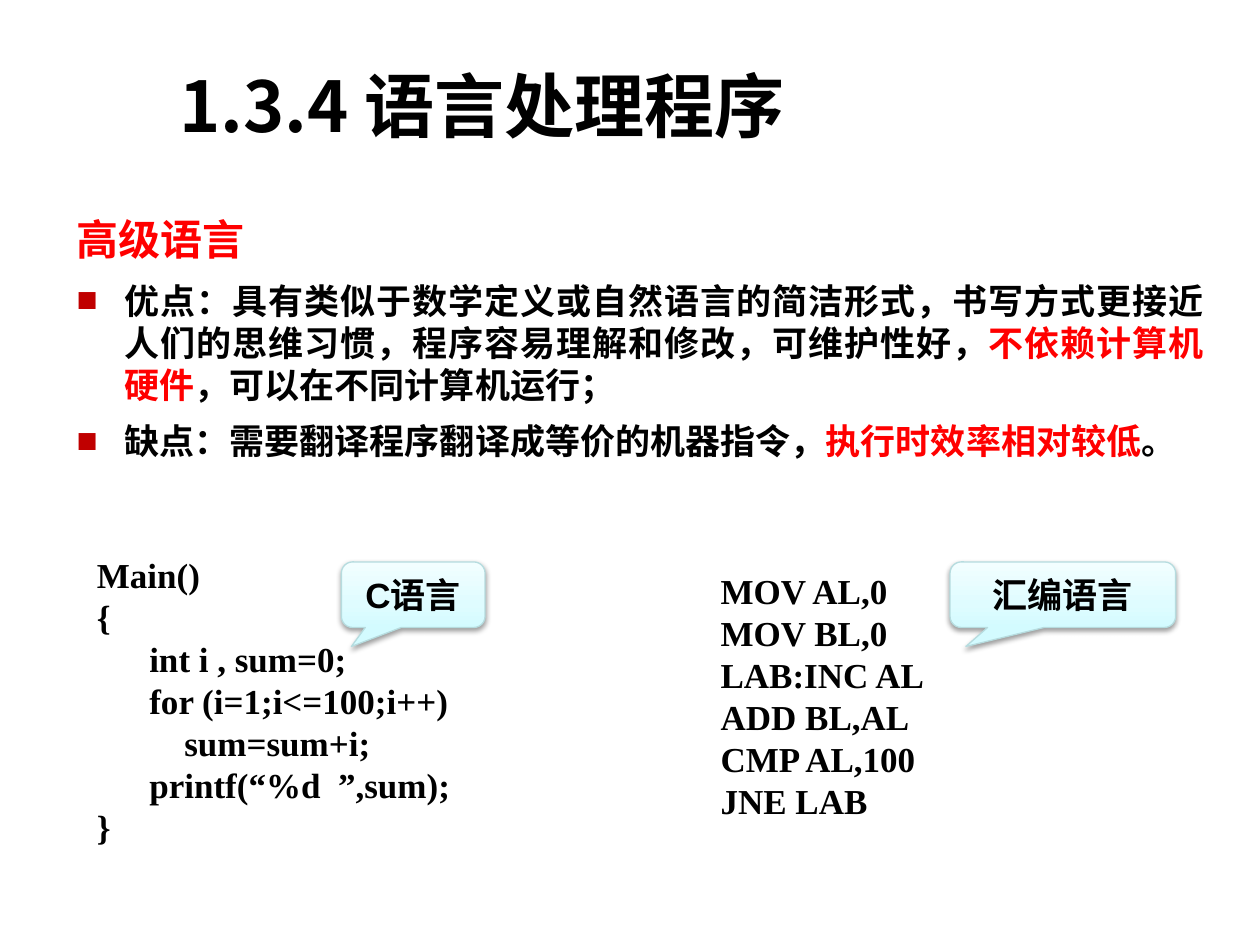
import pptx
import pptx.util
from lxml import etree
from pptx.dml.color import RGBColor
from pptx.enum.shapes import MSO_SHAPE
from pptx.enum.text import MSO_ANCHOR, PP_ALIGN
from pptx.oxml.ns import qn
from pptx.util import Inches, Pt

BLACK = RGBColor(0x00, 0x00, 0x00)
RED = RGBColor(0xFF, 0x00, 0x00)
BULLET_RED = RGBColor(0xC0, 0x00, 0x00)
CALLOUT_LINE = RGBColor(0xB6, 0xDC, 0xDF)
CALLOUT_STOPS = [
    (0, RGBColor(0xD3, 0xFB, 0xFF)),
    (35, RGBColor(0xDF, 0xFC, 0xFF)),
    (100, RGBColor(0xF2, 0xFE, 0xFF)),
]
SANS, SERIF, CJK = "Arial", "Times New Roman", "Noto Sans CJK SC"

C_CODE = """Main()
{
      int i , sum=0;
      for (i=1;i<=100;i++)
          sum=sum+i;
      printf(“%d  ”,sum);
}"""
ASSEMBLY_CODE = """MOV AL,0
MOV BL,0
LAB:INC AL
ADD BL,AL
CMP AL,100
JNE LAB"""
HEADING = "高级语言"
POINTS = [
    [("优点：具有类似于数学定义或自然语言的简洁形式，书写方式更接近人们的思维习惯，"
      "程序容易理解和修改，可维护性好，", BLACK),
     ("不依赖计算机硬件", RED),
     ("，可以在不同计算机运行；", BLACK)],
    [("缺点：需要翻译程序翻译成等价的机器指令，", BLACK),
     ("执行时效率相对较低", RED),
     ("。", BLACK)],
]


def add_color(parent, tag, color):
    """Append tag holding a solid colour and return the colour element."""
    holder = etree.SubElement(parent, qn(tag))
    return etree.SubElement(holder, qn("a:srgbClr"), val=str(color))


class SlideWriter:
    def __init__(self, slide):
        self.slide = slide

    def style(self, span, size, font, color=BLACK):
        span.font.size = Pt(size)
        span.font.name = font
        span.font.bold = True
        span.font.color.rgb = color
        etree.SubElement(span.font._element, qn("a:ea"), typeface=CJK)

    def text_box(self, left, top, width, height, wrap=True):
        box = self.slide.shapes.add_textbox(
            Inches(left), Inches(top), Inches(width), Inches(height))
        box.text_frame.word_wrap = wrap
        return box.text_frame

    def title(self, text, *place):
        para = self.text_box(*place, wrap=False).paragraphs[0]
        para.text = text
        para.alignment = PP_ALIGN.CENTER
        para.line_spacing = 1.6
        self.style(para.runs[0], 40, CJK)

    def code(self, text, *place):
        frame = self.text_box(*place)
        frame.text = text
        for para in frame.paragraphs:
            para.line_spacing = Pt(24)
            self.style(para.runs[0], 20, SERIF)

    def bullet(self, para):
        props = para._p.get_or_add_pPr()
        props.set("marL", str(Inches(0.38)))
        props.set("indent", str(-Inches(0.38)))
        add_color(props, "a:buClr", BULLET_RED)
        etree.SubElement(props, qn("a:buFont"), typeface=SERIF)
        etree.SubElement(props, qn("a:buChar"), char="■")

    def body(self, heading, points, *place):
        frame = self.text_box(*place)
        frame.vertical_anchor = MSO_ANCHOR.MIDDLE
        para = frame.paragraphs[0]
        para.text = heading
        para.line_spacing = Pt(29)
        self.style(para.runs[0], 24, SERIF, RED)
        for point in points:
            para = frame.add_paragraph()
            self.bullet(para)
            para.space_before = Pt(4)
            para.line_spacing = Pt(24)
            for text, color in point:
                span = para.add_run()
                span.text = text
                self.style(span, 20, SERIF, color)
        for para in frame.paragraphs:
            para.alignment = PP_ALIGN.JUSTIFY
            para.space_after = Pt(4.5)

    def callout(self, text, *place):
        shape = self.slide.shapes.add_shape(
            MSO_SHAPE.ROUNDED_RECTANGULAR_CALLOUT, *map(Inches, place))
        for index, value in enumerate((-0.43, 0.79, 0.17)):
            shape.adjustments[index] = value
        shape.fill.gradient()
        shape.fill.gradient_angle = 90
        stops = shape._element.spPr.find(".//" + qn("a:gsLst"))
        for stop in list(stops):
            stops.remove(stop)
        for percent, color in CALLOUT_STOPS:
            add_color(stops, "a:gs", color).getparent().set("pos", str(percent * 1000))
        shape.line.color.rgb = CALLOUT_LINE
        shape.line.width = Pt(0.75)
        self.soft_shadow(shape)
        frame = shape.text_frame
        frame.text = text
        frame.vertical_anchor = MSO_ANCHOR.MIDDLE
        para = frame.paragraphs[0]
        para.alignment = PP_ALIGN.CENTER
        self.style(para.runs[0], 20, SANS)

    def soft_shadow(self, shape):
        shape.shadow.inherit = False
        effects = shape._element.spPr.find(qn("a:effectLst"))
        color = add_color(effects, "a:outerShdw", BLACK)
        etree.SubElement(color, qn("a:alpha"), val="38000")
        shadow = color.getparent()
        shadow.set("blurRad", str(Pt(3.1)))
        shadow.set("dist", str(Pt(1.6)))
        shadow.set("dir", str(90 * 60000))
        shadow.set("rotWithShape", "0")


def main():
    deck = pptx.Presentation()
    deck.slide_width, deck.slide_height = Inches(10), Inches(7.5)
    page = SlideWriter(deck.slides.add_slide(deck.slide_layouts[6]))
    page.code(C_CODE, 0.67, 4.34, 4.02, 2.39)
    page.code(ASSEMBLY_CODE, 5.62, 4.47, 2.21, 2.36)
    page.callout("C语言", 2.71, 4.46, 1.14, 0.52)
    page.callout("汇编语言", 7.54, 4.46, 1.79, 0.52)
    page.title("1.3.4 语言处理程序", 1.19, 0.05, 5.27, 1)
    page.body(HEADING, POINTS, 0.51, 1.62, 9.14, 2.12)
    deck.save("out.pptx")


if __name__ == "__main__":
    main()
